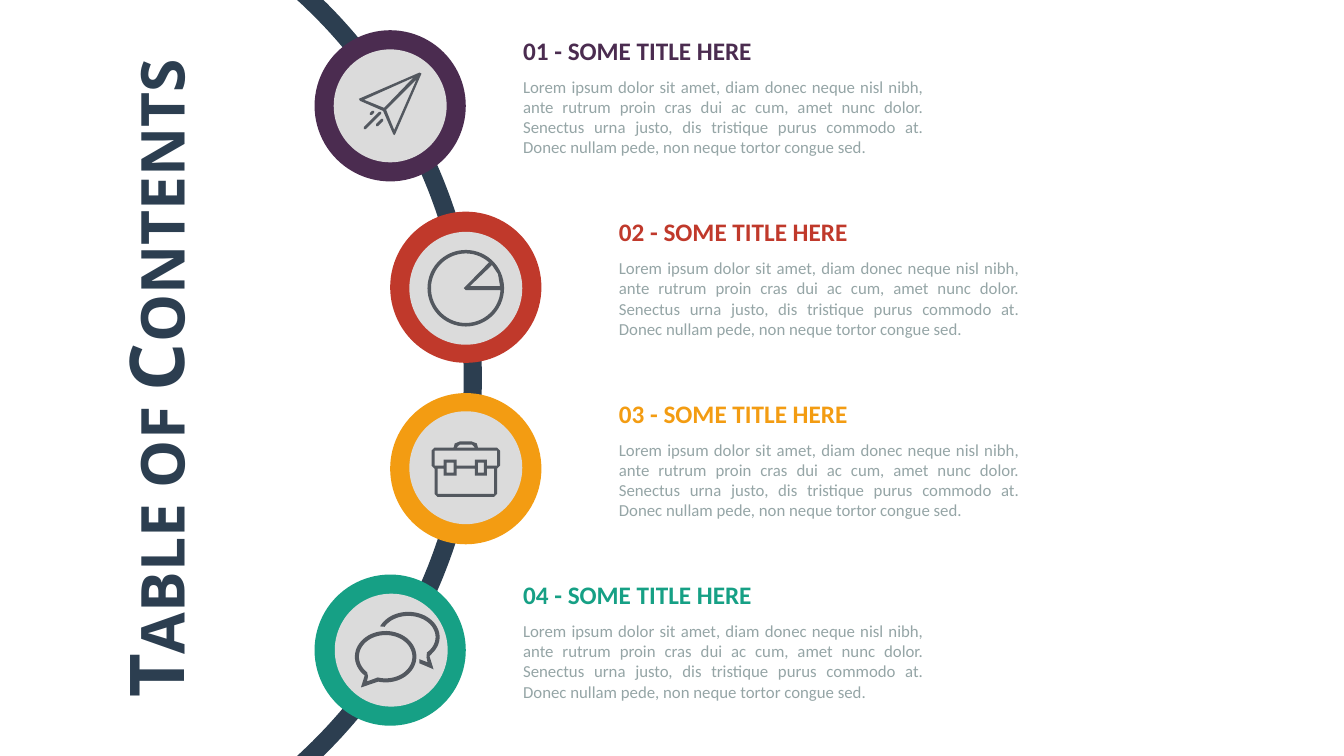
from math import cos, radians, sin, sqrt

from pptx import Presentation
from pptx.dml.color import RGBColor
from pptx.enum.shapes import MSO_SHAPE
from pptx.enum.text import MSO_ANCHOR, MSO_AUTO_SIZE, PP_ALIGN
from pptx.util import Inches, Pt

# Content
TITLE = "Table of Contents"
BODY = (
    "Lorem ipsum dolor sit amet, diam donec neque nisl nibh, ante rutrum proin "
    "cras dui ac cum, amet nunc dolor. Senectus urna justo, dis tristique purus "
    "commodo at. Donec nullam pede, non neque tortor congue sed."
)
NAVY = RGBColor(0x2C, 0x3E, 0x50)
GREY = RGBColor(0x95, 0xA5, 0xA6)
PALE = RGBColor(0xDB, 0xDB, 0xDB)
SLATE = RGBColor(0x53, 0x58, 0x5F)

# Heading, colour, left of ring, left of text, left and top of disc
ITEMS = [
    ("01 - SOME TITLE HERE", RGBColor(0x4B, 0x2C, 0x50), 3.12, 5.09, 3.31, 0.49),
    ("02 - SOME TITLE HERE", RGBColor(0xC0, 0x39, 0x2B), 3.87, 6.04, 4.06, 2.3),
    ("03 - SOME TITLE HERE", RGBColor(0xF3, 0x9C, 0x12), 3.87, 6.04, 4.06, 4.08),
    ("04 - SOME TITLE HERE", RGBColor(0x16, 0xA0, 0x85), 3.12, 5.09, 3.32, 5.89),
]
TOP, STEP = 0.3, 1.8
RING, DISC = 1.5, 1.12

# Curved band: centre, inner and outer radius, top and bottom of each piece
HUB_X, HUB_Y = -0.48, 3.75
INNER, OUTER = 5.08, 5.26
BANDS = [(0, 0.57), (1.51, 2.27), (3.45, 4.05), (5.23, 5.99), (6.93, 7.5)]


def arc(x, y, wide, high, start, end):
    """Points on an ellipse; angles in degrees, clockwise on the slide."""
    count = max(2, round(abs(end - start) / 6))
    turns = [radians(start + (end - start) * i / count) for i in range(count + 1)]
    return [(x + wide * cos(t), y + high * sin(t)) for t in turns]


def band(top, base):
    def edge(size):
        rows = [top + (base - top) * i / 12 for i in range(13)]
        return [(HUB_X + sqrt(size ** 2 - (y - HUB_Y) ** 2), y) for y in rows]
    return edge(OUTER) + edge(INNER)[::-1]


def dash(x, y, x2, y2):
    return [(x - 0.01, y - 0.01), (x2 - 0.01, y2 - 0.01), (x2 + 0.01, y2 - 0.01),
            (x2 + 0.01, y2 + 0.01), (x + 0.01, y + 0.01), (x - 0.01, y + 0.01)]


def box(left, top, right, base):
    return [(left, top), (right, top), (right, base), (left, base)]


def flap(left, right, far, edge, notch):
    """Side of the case, cut out around both clasps."""
    return [(left, far), (right, far), (right, edge), (4.83, edge), (4.83, notch),
            (4.71, notch), (4.71, edge), (4.53, edge), (4.53, notch),
            (4.4, notch), (4.4, edge), (left, edge)]


# Icons, each a list of outlines; an outline inside another is a hole
PLANE = [
    [(3.56, 0.98), (4.16, 0.72), (4.18, 0.73), (3.92, 1.33), (3.91, 1.34),
     (3.9, 1.33), (3.8, 1.1), (3.57, 1)],
    [(3.91, 1.29), (3.83, 1.09), (4.13, 0.79)],
    [(3.61, 0.99), (4.1, 0.77), (3.81, 1.07)],
    dash(3.62, 1.27, 3.77, 1.12),
    dash(3.74, 1.24, 3.79, 1.19),
    dash(3.68, 1.13, 3.7, 1.11),
]
PIE = [
    arc(4.62, 2.86, 0.38, 0.38, 0, 360),
    arc(4.62, 2.86, 0.345, 0.345, 3, 312) + [(4.6, 2.86), (4.62, 2.88)],
    [(4.66, 2.84), (4.88, 2.63), (4.94, 2.72), (4.96, 2.84)],
]
CASE = [
    [(4.28, 4.47), (4.31, 4.44), (4.5, 4.44), (4.51, 4.4), (4.56, 4.38),
     (4.68, 4.38), (4.73, 4.4), (4.74, 4.44), (4.93, 4.44), (4.96, 4.47),
     (4.96, 4.62), (4.93, 4.65), (4.93, 4.9), (4.9, 4.93), (4.34, 4.93),
     (4.31, 4.9), (4.31, 4.65), (4.28, 4.62)],
    [(4.53, 4.44), (4.56, 4.41), (4.68, 4.41), (4.71, 4.44)],
    flap(4.31, 4.93, 4.47, 4.62, 4.56),
    flap(4.34, 4.9, 4.9, 4.65, 4.72),
    box(4.43, 4.59, 4.5, 4.69),
    box(4.74, 4.59, 4.8, 4.69),
]
CHAT = [
    arc(3.825, 6.515, 0.305, 0.255, 133, 464) + [(3.58, 6.82)],
    arc(3.825, 6.515, 0.265, 0.215, 134, 467) + [(3.64, 6.76), (3.65, 6.71)],
    arc(4.05, 6.32, 0.31, 0.25, 205, 393)
    + [(4.26, 6.51), (4.3, 6.64), (4.16, 6.58), (4.16, 6.54), (4.24, 6.57), (4.23, 6.52)]
    + arc(4.05, 6.32, 0.27, 0.21, 407, 209),
]


def paint(shape, color):
    shape.shadow.inherit = False
    shape.fill.solid()
    shape.fill.fore_color.rgb = color
    shape.line.fill.background()


def draw(shapes, paths, color):
    paths = [[(Inches(x), Inches(y)) for x, y in path] for path in paths]
    pen = shapes.build_freeform(*paths[0][0])
    for i, path in enumerate(paths):
        if i:
            pen.move_to(*path[0])
        pen.add_line_segments(path[1:], close=True)
    paint(pen.convert_to_shape(), color)


def disc(shapes, left, top, size, color):
    place = [Inches(n) for n in (left, top, size, size)]
    paint(shapes.add_shape(MSO_SHAPE.OVAL, *place), color)


def write(shapes, place, text, size, font, color, bold=False, wrap=True,
          align=PP_ALIGN.LEFT, fit=MSO_AUTO_SIZE.SHAPE_TO_FIT_TEXT):
    label = shapes.add_textbox(*[Inches(n) for n in place])
    frame = label.text_frame
    frame.text = text
    frame.word_wrap = wrap
    frame.auto_size = fit
    line = frame.paragraphs[0]
    line.alignment = align
    face = line.runs[0].font
    face.size, face.name, face.bold = Pt(size), font, bold
    face.color.rgb = color
    return label


def main():
    deck = Presentation()
    deck.slide_width, deck.slide_height = Inches(13.33), Inches(7.5)
    shapes = deck.slides.add_slide(deck.slide_layouts[6]).shapes

    # Curved band and coloured rings
    for top, base in BANDS:
        draw(shapes, [band(top, base)], NAVY)
    for i, item in enumerate(ITEMS):
        disc(shapes, item[2], TOP + i * STEP, RING, item[1])

    # Upright title in small capitals
    label = write(shapes, (-1.81, 3.03, 6.68, 1.45), TITLE, 54, "Open Sans", NAVY,
                  bold=True, align=PP_ALIGN.CENTER, fit=MSO_AUTO_SIZE.NONE)
    label.rotation = 270
    label.text_frame.vertical_anchor = MSO_ANCHOR.MIDDLE
    run = label.text_frame.paragraphs[0].runs[0]
    run._r.get_or_add_rPr().set("cap", "small")

    # Headings and body texts
    for i, (head, color, _, left, _, _) in enumerate(ITEMS):
        top = TOP + i * STEP
        write(shapes, (left, top, 2.49, 0.4), head, 18, "Calibri", color,
              bold=True, wrap=False)
        write(shapes, (left, top + 0.41, 4.17, 0.91), BODY, 12, "Calibri", GREY,
              align=PP_ALIGN.JUSTIFY)

    # Pale discs with icons
    for item in ITEMS:
        disc(shapes, item[4], item[5], DISC, PALE)
    for icon in (CHAT, PLANE, PIE, CASE):
        draw(shapes, icon, SLATE)

    deck.save("out.pptx")


if __name__ == "__main__":
    main()
